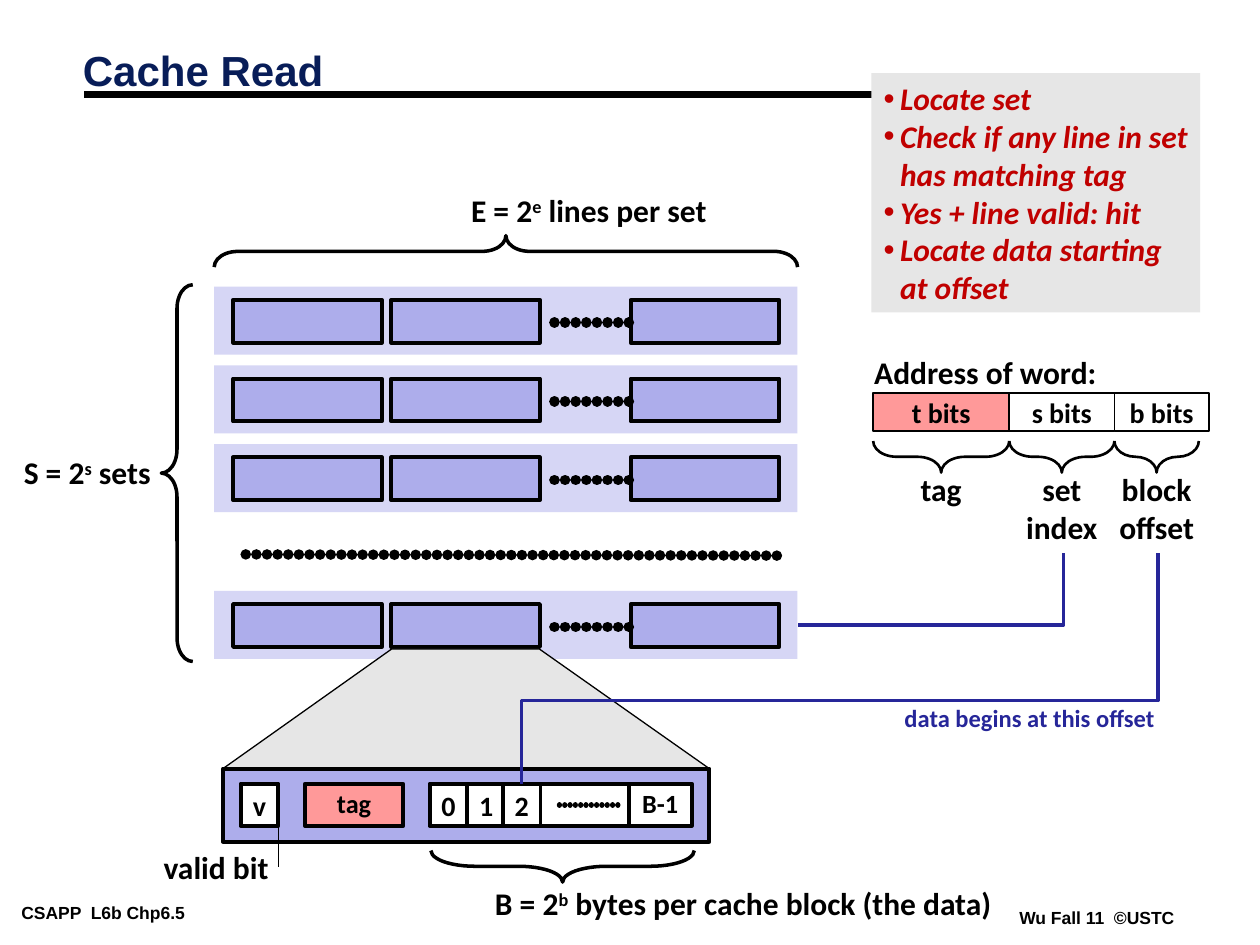
from dataclasses import dataclass

from lxml.etree import SubElement
from pptx import Presentation
from pptx.dml.color import RGBColor as Color
from pptx.enum.shapes import MSO_CONNECTOR as Link, MSO_SHAPE as Preset
from pptx.enum.text import MSO_ANCHOR as Anchor, PP_ALIGN as Align
from pptx.oxml.ns import qn
from pptx.util import Emu, Inches, Pt

COLUMNS, ROWS = 100, 75
CELL = Inches(10) // COLUMNS


@dataclass(frozen=True)
class Theme:
    body: str = "Calibri"
    heading: str = "Arial"
    black: str = "000000"
    white: str = "FFFFFF"
    navy: str = "081D58"
    route: str = "262699"
    red: str = "C00000"
    pink: str = "FF9999"
    line_fill: str = "ADADEB"
    set_fill: str = "D6D6F5"
    grey: str = "E6E6E6"
    title: int = 24
    label: int = 18
    cell: int = 16
    small_cell: int = 15
    note: int = 14
    footer: int = 10


THEME = Theme()


def grid(*cells):
    return [Emu(round(cell * CELL)) for cell in cells]


def paint(shape, fill=None, line=None, weight=1):
    shape.shadow.inherit = False
    if fill:
        shape.fill.solid()
        shape.fill.fore_color.rgb = Color.from_string(fill)
    else:
        shape.fill.background()
    if line:
        shape.line.color.rgb = Color.from_string(line)
        shape.line.width = Pt(weight)
    else:
        shape.line.fill.background()


def style(para, size, color=THEME.black, face=THEME.body, italic=False):
    font = para.font
    font.name, font.size, font.bold, font.italic = face, Pt(size), True, italic
    font.color.rgb = Color.from_string(color)


def add_text(slide, at, lines, size=THEME.label, align=Align.LEFT, **look):
    box = slide.shapes.add_textbox(*grid(*at))
    frame = box.text_frame
    frame.word_wrap = False
    for index, line in enumerate(lines):
        para = frame.add_paragraph() if index else frame.paragraphs[0]
        para.text, para.alignment = line, align
        style(para, size, **look)
    return frame


def add_power(slide, at, base, power, rest):
    frame = add_text(slide, at, [base])
    para = frame.paragraphs[0]
    for text, raised in ((power, "30000"), (rest, "0")):
        span = para.add_run()
        span.text = text
        span.font._element.set("baseline", raised)


def add_box(slide, at, fill, line=THEME.black, weight=2.25, text="",
            size=THEME.cell, spacing=1.0):
    box = slide.shapes.add_shape(Preset.RECTANGLE, *grid(*at))
    paint(box, fill, line, weight)
    if text:
        frame = box.text_frame
        frame.word_wrap, frame.vertical_anchor = False, Anchor.MIDDLE
        para = frame.paragraphs[0]
        para.text, para.alignment, para.line_spacing = text, Align.CENTER, spacing
        style(para, size)


def add_brace(slide, at, rotation=0, bend=0.75, weight=2):
    left, top, width, height = at
    if rotation:
        left, top = left + (width - height) / 2, top + (height - width) / 2
        width, height = height, width
    brace = slide.shapes.add_shape(Preset.LEFT_BRACE, *grid(left, top, width, height))
    brace.rotation = rotation
    brace.adjustments[0] = bend
    paint(brace, None, THEME.black, weight)


def add_line(slide, ends, weight, color=THEME.black, kind=Link.STRAIGHT):
    line = slide.shapes.add_connector(kind, *grid(*ends))
    line.line.color.rgb = Color.from_string(color)
    line.line.width = Pt(weight)
    SubElement(line._element.spPr, qn("a:effectLst"))
    return line


def add_dots(slide, ends, weight):
    outline = add_line(slide, ends, weight).line._ln
    outline.set("cap", "rnd")
    pattern = SubElement(outline, qn("a:custDash"))
    SubElement(pattern, qn("a:ds"), d="1000", sp="100000")


def add_route(slide, start, end, preset, bend=None):
    (x1, y1), (x2, y2) = start, end
    middle_x, middle_y = (x1 + x2) / 2, (y1 + y2) / 2
    half_width, half_height = (y2 - y1) / 2, (x1 - x2) / 2
    ends = (middle_x - half_width, middle_y - half_height,
            middle_x + half_width, middle_y + half_height)
    route = add_line(slide, ends, 2, THEME.route, Link.ELBOW)
    shape_props = route._element.spPr
    shape_props.find(qn("a:xfrm")).set("rot", "5400000")
    geometry = shape_props.find(qn("a:prstGeom"))
    geometry.set("prst", preset)
    if bend:
        guides = geometry.find(qn("a:avLst"))
        SubElement(guides, qn("a:gd"), name="adj1", fmla=f"val {round(bend * 100000)}")


def add_cache_sets(slide):
    for top in (22.75, 29, 35.25, 46.9):
        add_box(slide, (17, top, 46.3, 5.4), THEME.set_fill, None)
        for left in (18.5, 31.05, 50.05):
            add_box(slide, (left, top + 1.05, 11.8, 3.4), THEME.line_fill)
        add_dots(slide, (44, top + 2.85, 50.1, top + 2.85), 6)
    add_dots(slide, (19.5, 44, 61.9, 44.1), 6)
    add_brace(slide, (17, 18.7, 46.3, 2.5), 90)
    add_brace(slide, (12.8, 22.6, 2.5, 29.9))
    add_power(slide, (36.4, 14.7, 20.7, 4), "E = 2", "e", " lines per set")
    add_power(slide, (0.9, 35.5, 12.1, 4), "S = 2", "s", " sets")


def add_cache_line(slide):
    funnel = slide.shapes.build_freeform(*grid(17.7, 61), scale=1.0)
    funnel.add_line_segments([grid(*point) for point in
                              ((31.1, 51.5), (42.8, 51.5), (56.3, 61))])
    paint(funnel.convert_to_shape(), THEME.grey, THEME.black, 0.75)
    add_box(slide, (17.7, 61, 38.6, 5.8), THEME.line_fill)
    cells = (
        (34.1, 3, "0", THEME.white, THEME.cell, 1.0),
        (37.1, 3, "1", THEME.white, THEME.cell, 1.0),
        (39.9, 3, "2", THEME.white, THEME.cell, 1.0),
        (49.9, 5, "B-1", THEME.white, THEME.small_cell, 0.9),
        (42.9, 7, "", THEME.white, THEME.cell, 1.0),
        (24.2, 7.8, "tag", THEME.pink, THEME.small_cell, 0.9),
        (19.1, 3, "v", THEME.white, THEME.cell, 1.0),
    )
    for left, width, text, fill, size, spacing in cells:
        add_box(slide, (left, 62.2, width, 3.35), fill, text=text, size=size,
                spacing=spacing)
    add_dots(slide, (44.4, 63.9, 49.4, 63.9), 3)
    add_text(slide, (12, 66.8, 10.4, 4), ["valid bit"])
    add_line(slide, (22.1, 68.8, 22.1, 65.5), 0.75)
    add_brace(slide, (34.2, 67.5, 20.9, 2.5), 270, bend=1.39)
    add_power(slide, (38.3, 69.7, 41.5, 4), "B = 2", "b",
              " bytes per cache block (the data)")


def add_address(slide):
    add_text(slide, (68.4, 27.5, 19.7, 4), ["Address of word:"])
    fields = (
        (69.3, 10.8, 10.8, "t bits", THEME.pink, ["tag"]),
        (80.1, 8.35, 8.35, "s bits", THEME.white, ["set", "index"]),
        (88.45, 7.5, 6.7, "b bits", THEME.white, ["block", "offset"]),
    )
    for left, width, span, text, fill, names in fields:
        add_box(slide, (left, 31.2, width, 3), fill, weight=1, text=text)
        add_brace(slide, (left, 35, span, 2.5), 270, weight=1.5)
        add_text(slide, (left + span / 2 - 4, 36.8, 8, 3 * len(names) + 1), names,
                 align=Align.CENTER)
    add_route(slide, (84.4, 43.9), (63.3, 49.6), "bentConnector2")
    add_route(slide, (91.9, 43.9), (41.4, 62.2), "bentConnector3", 0.64)
    add_text(slide, (70.8, 55.3, 21.9, 3.4), ["data begins at this offset"],
             THEME.note, color=THEME.route)


def add_steps(slide):
    area = (69.15, 5.8, 26.1, 19)
    add_box(slide, area, THEME.grey, None)
    steps = ["Locate set", "Check if any line in set\nhas matching tag",
             "Yes + line valid: hit", "Locate data starting\nat offset"]
    frame = add_text(slide, area, steps, color=THEME.red, italic=True)
    frame.word_wrap, frame.margin_right = True, 0
    for para in frame.paragraphs:
        props = para._p.get_or_add_pPr()
        props.set("marL", str(Inches(0.13)))
        props.set("indent", str(-Inches(0.13)))
        tint = props.makeelement(qn("a:buClr"))
        SubElement(tint, qn("a:srgbClr"), val=THEME.red)
        face = props.makeelement(qn("a:buFont"), typeface=THEME.heading)
        mark = props.makeelement(qn("a:buChar"), char="•")
        for part in (tint, face, mark):
            props.find(qn("a:defRPr")).addprevious(part)


def add_frame(slide):
    for at, text in (((1, 71.3, 20.3, 2.2), "CSAPP  L6b Chp6.5"),
                     ((80.2, 71.7, 13.8, 2.2), "Wu Fall 11  ©USTC")):
        frame = add_text(slide, at, [text], THEME.footer, face=THEME.heading)
        frame.margin_left = frame.margin_right = Inches(0.07)
        frame.margin_top = frame.margin_bottom = Inches(0.03)
    add_line(slide, (6.7, 7.5, 94.2, 7.5), 4.5)
    title = add_text(slide, (5.6, 3.6, 83, 4.5), ["Cache Read"], THEME.title,
                     color=THEME.navy, face=THEME.heading)
    title.word_wrap, title.vertical_anchor = True, Anchor.MIDDLE
    title.paragraphs[0].line_spacing = 0.87


def main():
    deck = Presentation()
    deck.slide_width, deck.slide_height = grid(COLUMNS, ROWS)
    page = deck.slides.add_slide(deck.slide_layouts[6])
    for add_part in (add_frame, add_cache_sets, add_cache_line, add_address, add_steps):
        add_part(page)
    deck.save("out.pptx")


if __name__ == "__main__":
    main()
